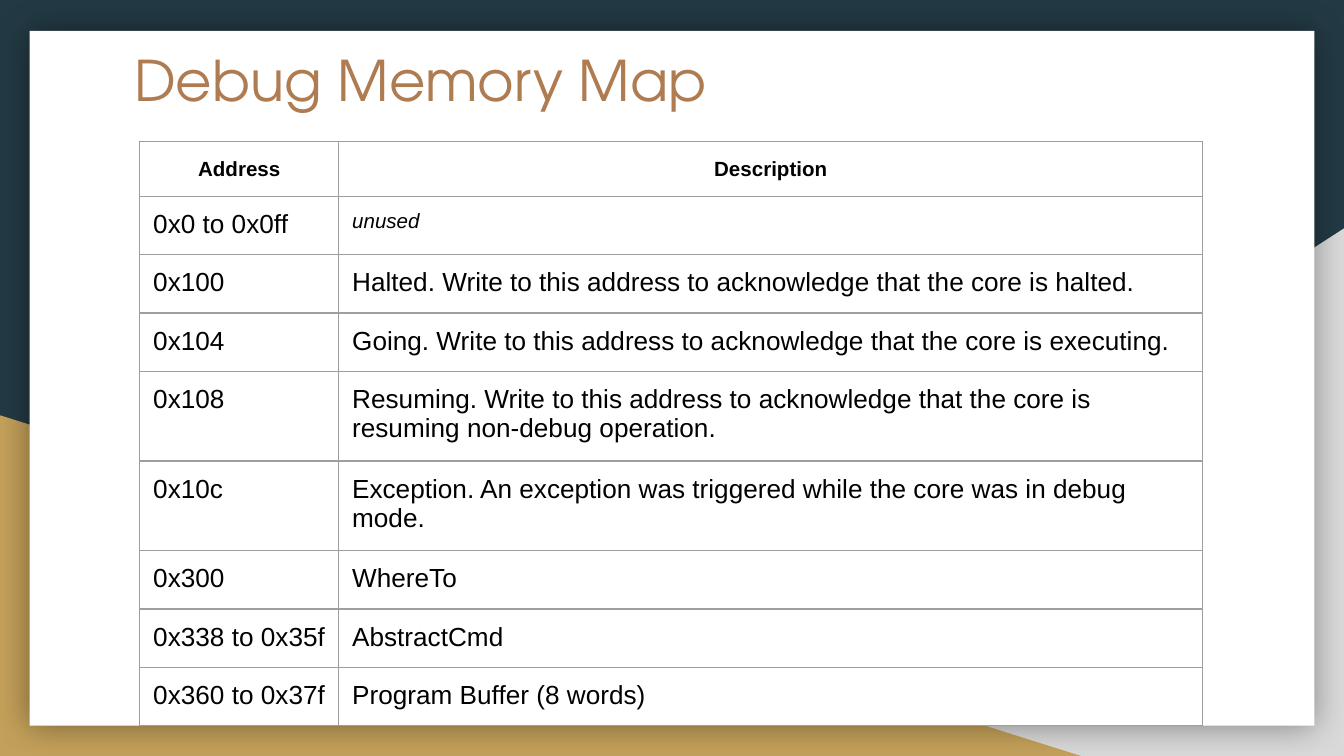
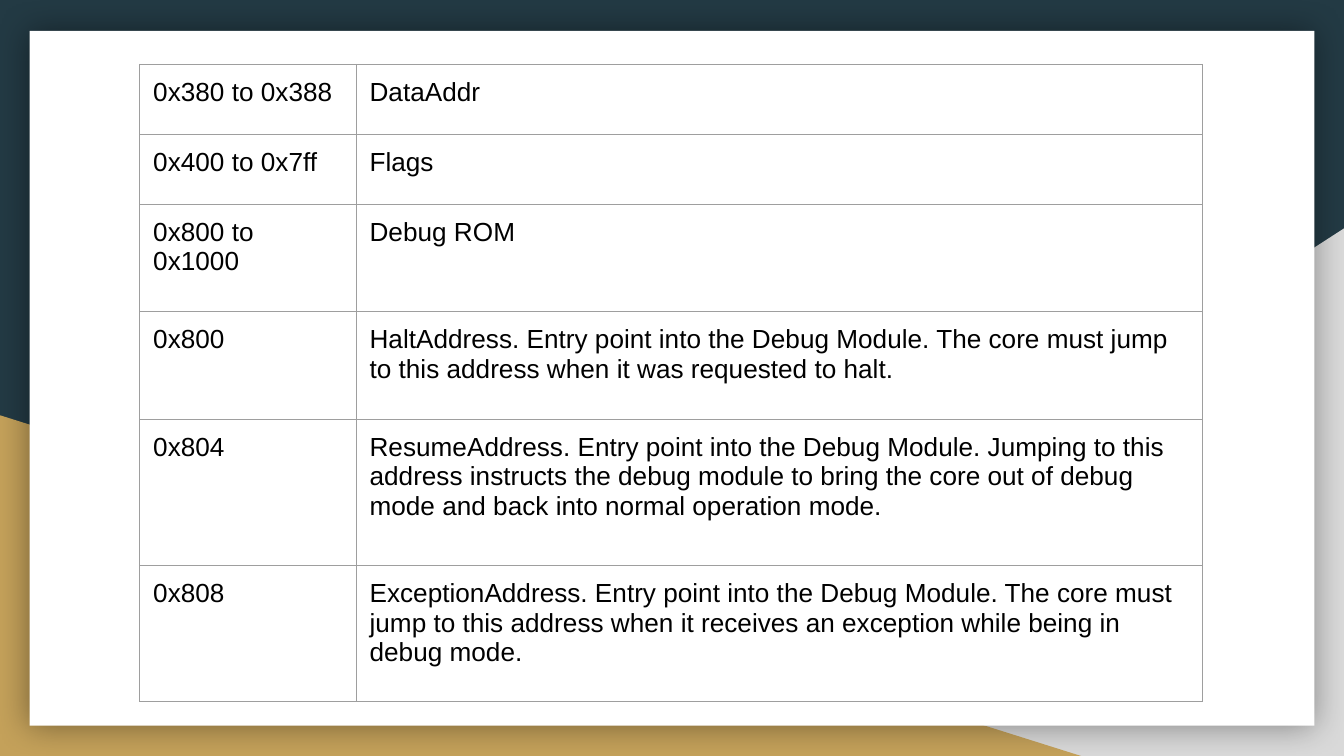
from lxml import etree
from pptx import Presentation
from pptx import util as u
from pptx.dml.color import RGBColor
from pptx.enum import shapes, text
from pptx.oxml import parse_xml
from pptx.oxml.ns import nsdecls, qn

COLORS = {
    "navy": "233A44",
    "silver": "D9D9D9",
    "gold": "C4A15A",
    "card": "FFFFFF",
    "title": "AF7B51",
    "text": "000000",
    "border": "9E9E9E",
}
BODY_FONT = "Arial"
TITLE_FONT = "TeX Gyre Adventor"
PAGE_WIDTH = 10
PAGE_HEIGHT = PAGE_WIDTH * 9 / 16
CARD = (0.22, 0.23, 9.56, 5.17)
TABLE_LEFT = 1.04
TABLE_FRAME = 3.28
BORDER_WIDTH = 0.75

HEADER = ("Address", "Description")
DEBUG_ROWS = [
    (0.4, "0x0 to 0x0ff", "unused"),
    (0.4, "0x100", "Halted. Write to this address to acknowledge that the core is halted."),
    (0.4, "0x104", "Going. Write to this address to acknowledge that the core is executing."),
    (0.62, "0x108", "Resuming. Write to this address to acknowledge that the core is "
                    "resuming non-debug operation."),
    (0.62, "0x10c", "Exception. An exception was triggered while the core was in debug mode."),
    (0.4, "0x300", "WhereTo"),
    (0.4, "0x338 to 0x35f", "AbstractCmd"),
    (0.4, "0x360 to 0x37f", "Program Buffer (8 words)"),
]
ROM_ROWS = [
    (0.52, "0x380 to 0x388", "DataAddr"),
    (0.52, "0x400 to 0x7ff", "Flags"),
    (0.8, "0x800 to 0x1000", "Debug ROM"),
    (0.8, "0x800", "HaltAddress. Entry point into the Debug Module. The core must jump "
                   "to this address when it was requested to halt."),
    (1.09, "0x804", "ResumeAddress. Entry point into the Debug Module. Jumping to this "
                    "address instructs the debug module to bring the core out of debug "
                    "mode and back into normal operation mode."),
    (1.01, "0x808", "ExceptionAddress. Entry point into the Debug Module. The core must "
                    "jump to this address when it receives an exception while being in "
                    "debug mode."),
]


def rgb(name):
    """Return the palette colour with this name."""
    return RGBColor.from_string(COLORS[name])


def style(para, font_name, size, color, bold=False, italic=False):
    """Set the font of a whole paragraph."""
    font = para.font
    font.name, font.size = font_name, u.Pt(size)
    font.bold, font.italic = bold, italic
    font.color.rgb = rgb(color)


def add_block(page, kind, box, color):
    """Add a flat, unlined shape and return it."""
    block = page.shapes.add_shape(kind, *map(u.Inches, box))
    block.shadow.inherit = False
    block.fill.solid()
    block.fill.fore_color.rgb = rgb(color)
    block.line.fill.background()
    return block


def add_glow(block):
    """Give a shape a soft shadow on all sides."""
    effects = block.element.spPr.find(qn("a:effectLst"))
    effects.append(parse_xml(
        f'<a:outerShdw {nsdecls("a")} blurRad="{u.Pt(18)}" dist="0" dir="0" algn="ctr" '
        f'rotWithShape="0"><a:srgbClr val="{COLORS["text"]}"><a:alpha val="40000"/>'
        '</a:srgbClr></a:outerShdw>'))


def add_backdrop(page):
    """Paint the background, the two corner triangles and the white card."""
    page.background.fill.solid()
    page.background.fill.fore_color.rgb = rgb("navy")
    triangle = shapes.MSO_SHAPE.RIGHT_TRIANGLE
    right = add_block(page, triangle, (3.92, 1.7, 6.08, 3.93), "silver")
    right.element.spPr.xfrm.set("flipH", "1")
    add_block(page, triangle, (0, 3.09, 8.06, 2.54), "gold")
    add_glow(add_block(page, shapes.MSO_SHAPE.RECTANGLE, CARD, "card"))


def add_title(page, box, words):
    """Write the slide title in the given box."""
    frame = page.shapes.add_textbox(*map(u.Inches, box)).text_frame
    frame.word_wrap = True
    frame.margin_left = frame.margin_right = u.Inches(0.1)
    frame.margin_top = frame.margin_bottom = u.Inches(0.1)
    frame.text = words
    style(frame.paragraphs[0], TITLE_FONT, 30, "title")


def set_borders(cell):
    """Draw a thin line on all four sides of a cell."""
    properties = cell._tc.get_or_add_tcPr()
    for index, side in enumerate(("lnL", "lnR", "lnT", "lnB")):
        line = etree.Element(qn(f"a:{side}"), w=str(u.Pt(BORDER_WIDTH)))
        fill = etree.SubElement(line, qn("a:solidFill"))
        etree.SubElement(fill, qn("a:srgbClr"), val=COLORS["border"])
        properties.insert(index, line)


def fill_cell(cell, words, header):
    """Write one table cell in the header or the body style."""
    cell.fill.background()
    set_borders(cell)
    cell.margin_left = cell.margin_right = u.Inches(0.1)
    cell.margin_top = cell.margin_bottom = u.Inches(0.1)
    cell.text = words
    para = cell.text_frame.paragraphs[0]
    unused = words == "unused"
    style(para, BODY_FONT, 11 if header or unused else 14, "text", header, unused)
    if header:
        para.alignment = text.PP_ALIGN.CENTER
        para.line_spacing = 1.15


def add_memory_table(page, top, widths, rows, header=None):
    """Add the address table, with an optional header row; rows grow to fit their text."""
    lines = ([(0.36, *header)] if header else []) + rows
    side = u.Inches(TABLE_FRAME)
    frame = page.shapes.add_table(len(lines), len(widths), u.Inches(TABLE_LEFT),
                                  u.Inches(top), side, side)
    table = frame.table
    table.first_row = bool(header)
    table.horz_banding = False
    for column, width in zip(table.columns, widths):
        column.width = u.Inches(width)
    for index, (row, (row_height, *words)) in enumerate(zip(table.rows, lines)):
        row.height = u.Inches(row_height)
        for cell, entry in zip(row.cells, words):
            fill_cell(cell, entry, bool(header) and index == 0)
    frame.width = frame.height = side


def add_page(deck):
    """Add a blank slide with the shared backdrop."""
    page = deck.slides.add_slide(deck.slide_layouts[6])
    add_backdrop(page)
    return page


def main():
    """Build the two memory map slides."""
    deck = Presentation()
    deck.slide_width, deck.slide_height = u.Inches(PAGE_WIDTH), u.Inches(PAGE_HEIGHT)

    page = add_page(deck)
    add_title(page, (0.9, 0.24, 8.21, 1.04), "Debug Memory Map")
    add_memory_table(page, 1.05, (1.48, 6.43), DEBUG_ROWS, HEADER)

    page = add_page(deck)
    add_memory_table(page, 0.48, (1.61, 6.3), ROM_ROWS)

    deck.save("out.pptx")


if __name__ == "__main__":
    main()
